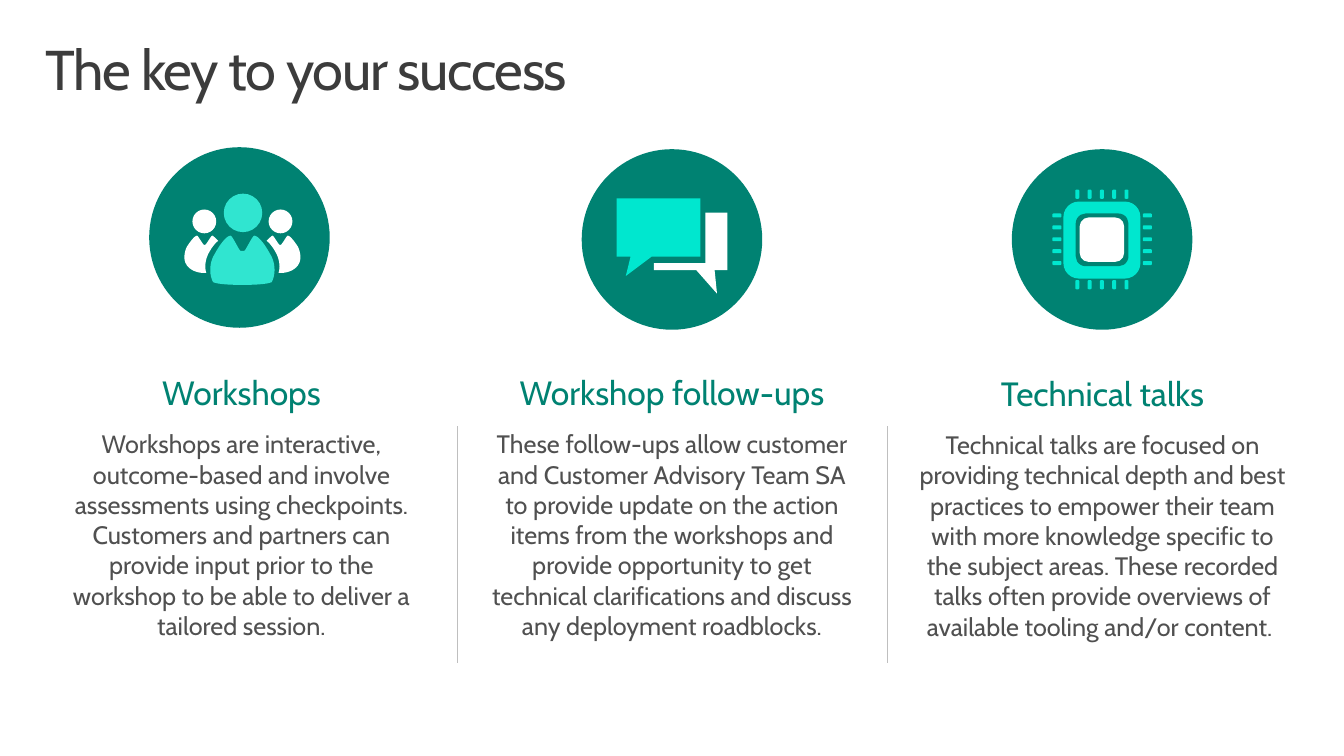
from pptx import Presentation, util as u
from pptx.dml.color import RGBColor
from pptx.enum import shapes, text
from pptx.oxml.ns import qn
from lxml import etree

HUES = {"title": "3C3C3C", "body": "505050", "green": "008272", "rule": "BFBFBF",
        "mint": "30E5D0", "aqua": "00E7CF", "white": "FFFFFF"}
FONT = "Cabin"
OVAL, ROUND = shapes.MSO_SHAPE.OVAL, shapes.MSO_SHAPE.ROUNDED_RECTANGLE


def add(home, kind, box, hue):
    """Add a plain filled shape; box is left, top, width, height in cm, or kind is a point list."""
    if isinstance(kind, list):
        dots = [(u.Cm(x), u.Cm(y)) for x, y in kind]
        pen = home.shapes.build_freeform(*dots[0], scale=1.0)
        pen.add_line_segments(dots[1:], close=True)
        shape = pen.convert_to_shape()
    else:
        shape = home.shapes.add_shape(kind, *[u.Cm(v) for v in box])
    shape.fill.solid()
    shape.fill.fore_color.rgb = RGBColor.from_string(HUES[hue])
    shape.line.fill.background()
    shape.shadow.inherit = False
    return shape


def trace(steps):
    """Turn lines (2 numbers) and cubic curves (6 numbers) into points."""
    dots = []
    for step in steps:
        if len(step) == 2:
            dots.append(step)
            continue
        a, b, c, d = dots[-1], step[:2], step[2:4], step[4:]
        for t in [n / 10 for n in range(1, 11)]:
            s = 1 - t
            dots.append(tuple(s**3 * a[k] + 3 * s * s * t * b[k] + 3 * s * t * t * c[k] + t**3 * d[k]
                              for k in (0, 1)))
    return dots


deck = Presentation()
deck.slide_width, deck.slide_height = u.Cm(33.87), u.Cm(19.05)
slide = deck.slides.add_slide(deck.slide_layouts[6])

# Title
box = slide.shapes.add_textbox(u.Cm(0.74), u.Cm(0.81), u.Cm(32.39), u.Cm(2.49))
frame = box.text_frame
frame.word_wrap = True
frame.margin_left = frame.margin_right = u.Cm(0.41)
frame.margin_top = frame.margin_bottom = u.Cm(0.25)
frame.text = "The key to your success"
para = frame.paragraphs[0]
para.line_spacing = 0.9
run = para.runs[0]
run.font.size, run.font.name = u.Pt(40), FONT
run.font.color.rgb = RGBColor.from_string(HUES["title"])
run.font._element.set("spc", "-100")

# Columns: disc, heading and description
columns = [
    ("Workshops", "Workshops are interactive, outcome-based and involve assessments using checkpoints. "
     "Customers and partners can provide input prior to the workshop to be able to deliver a "
     "tailored session.", 3.76, 3.71, 9.12, 7.34),
    ("Workshop follow-ups", "These follow-ups allow customer and Customer Advisory Team SA to provide "
     "update on the action items from the workshops and provide opportunity to get technical "
     "clarifications and discuss any deployment roadblocks.", 14.66, 3.76, 9.12, 8.1),
    ("Technical talks", "Technical talks are focused on providing technical depth and best practices "
     "to empower their team with more knowledge specific to the subject areas. These recorded talks "
     "often provide overviews of available tooling and/or content. ", 25.5, 3.76, 9.14, 8.1),
]
for i, (head, note, left, top, low, tall) in enumerate(columns):
    add(slide, OVAL, (left, top, 4.55, 4.55), "green")
    box = slide.shapes.add_textbox(u.Cm(1.17 + 10.85 * i), u.Cm(low), u.Cm(9.83), u.Cm(tall))
    frame = box.text_frame
    frame.word_wrap = True
    frame.auto_size = text.MSO_AUTO_SIZE.SHAPE_TO_FIT_TEXT
    frame.margin_left = frame.margin_right = frame.margin_top = frame.margin_bottom = u.Cm(0.25)
    frame.text = head + "\n" + note
    for para, size, hue in zip(frame.paragraphs, (24, 18), ("green", "body")):
        para.alignment = text.PP_ALIGN.CENTER
        para.space_after = u.Pt(11.8)
        font = para.runs[0].font
        font.size, font.name = u.Pt(size), FONT
        font.color.rgb = RGBColor.from_string(HUES[hue])

# Rules between the columns
for x in (11.51, 22.35):
    rule = slide.shapes.add_connector(shapes.MSO_CONNECTOR.STRAIGHT,
                                      u.Cm(x), u.Cm(10.74), u.Cm(x), u.Cm(16.71))
    rule.line.width = u.Pt(0.25)
    rule.line.color.rgb = RGBColor.from_string(HUES["rule"])
    etree.SubElement(rule._element.spPr, qn("a:effectLst"))

# People icon, mirrored about its middle
mid, neck = 6.11, 5.94
torso = trace([(0, 0.38), (0.05, 0.38), (0.08, 0.38, 0.25, 0, 0.3, 0),
               (0.38, 0, 0.53, 0.15, 0.71, 0.48), (0.81, 0.64, 0.86, 0.94, 0.74, 1.17),
               (0.62, 1.22, 0.37, 1.24, 0, 1.24)])
flank = trace([(0.86, 0.46), (0.81, 0.36, 0.71, 0.2, 0.61, 0.13), (0.69, 0.05, 0.74, 0, 0.76, 0),
               (0.79, 0, 0.91, 0.23, 0.94, 0.23), (0.97, 0.23), (0.99, 0.23, 1.12, 0, 1.14, 0),
               (1.19, 0, 1.27, 0.08, 1.4, 0.28), (1.45, 0.38, 1.5, 0.58, 1.42, 0.71),
               (1.35, 0.86, 1.14, 0.94, 0.97, 0.94), (0.91, 0.94),
               (0.97, 0.76, 0.91, 0.56, 0.86, 0.46)])
people = slide.shapes.add_group_shape()
add(people, OVAL, (5.64, 4.88, 0.97, 0.97), "mint")
whole = torso + [(-x, y) for x, y in reversed(torso)]
add(people, [(mid + x, neck + y) for x, y in whole], None, "mint")
for side in (-1, 1):
    add(people, OVAL, (mid + side * 0.96 - 0.3, 5.28, 0.6, 0.6), "white")
    add(people, [(mid + side * x, neck + y) for x, y in flank], None, "white")

# Speech bubbles icon
chat = slide.shapes.add_group_shape()
bubble = add(chat, shapes.MSO_SHAPE.RECTANGULAR_CALLOUT, (15.54, 5, 2.11, 1.47), "aqua")
bubble.adjustments[0], bubble.adjustments[1] = -0.39, 0.83
add(chat, [(17.78, 5.36), (18.33, 5.36), (18.33, 6.81), (18.01, 6.81), (18.07, 7.4),
           (17.55, 6.81), (16.48, 6.81), (16.48, 6.63), (17.78, 6.63)], None, "white")

# Chip icon: body, socket, core, then pins on four sides
chip = slide.shapes.add_group_shape()
for x, y, size, bend, hue in [(26.8, 5.08, 1.94, 0.2, "aqua"), (27.11, 5.38, 1.33, 0.19, "green"),
                              (27.21, 5.48, 1.12, 0.2, "white")]:
    add(chip, ROUND, (x, y, size, size), hue).adjustments[0] = bend
for i in range(5):
    x, y = 27.1 + 0.31 * i, 5.38 + 0.3 * i
    for pin in [(x, 4.78, 0.1, 0.23), (x, 7.06, 0.1, 0.23),
                (26.52, y, 0.23, 0.1), (28.8, y, 0.23, 0.1)]:
        add(chip, ROUND, pin, "aqua").adjustments[0] = 0.3

deck.save("out.pptx")
